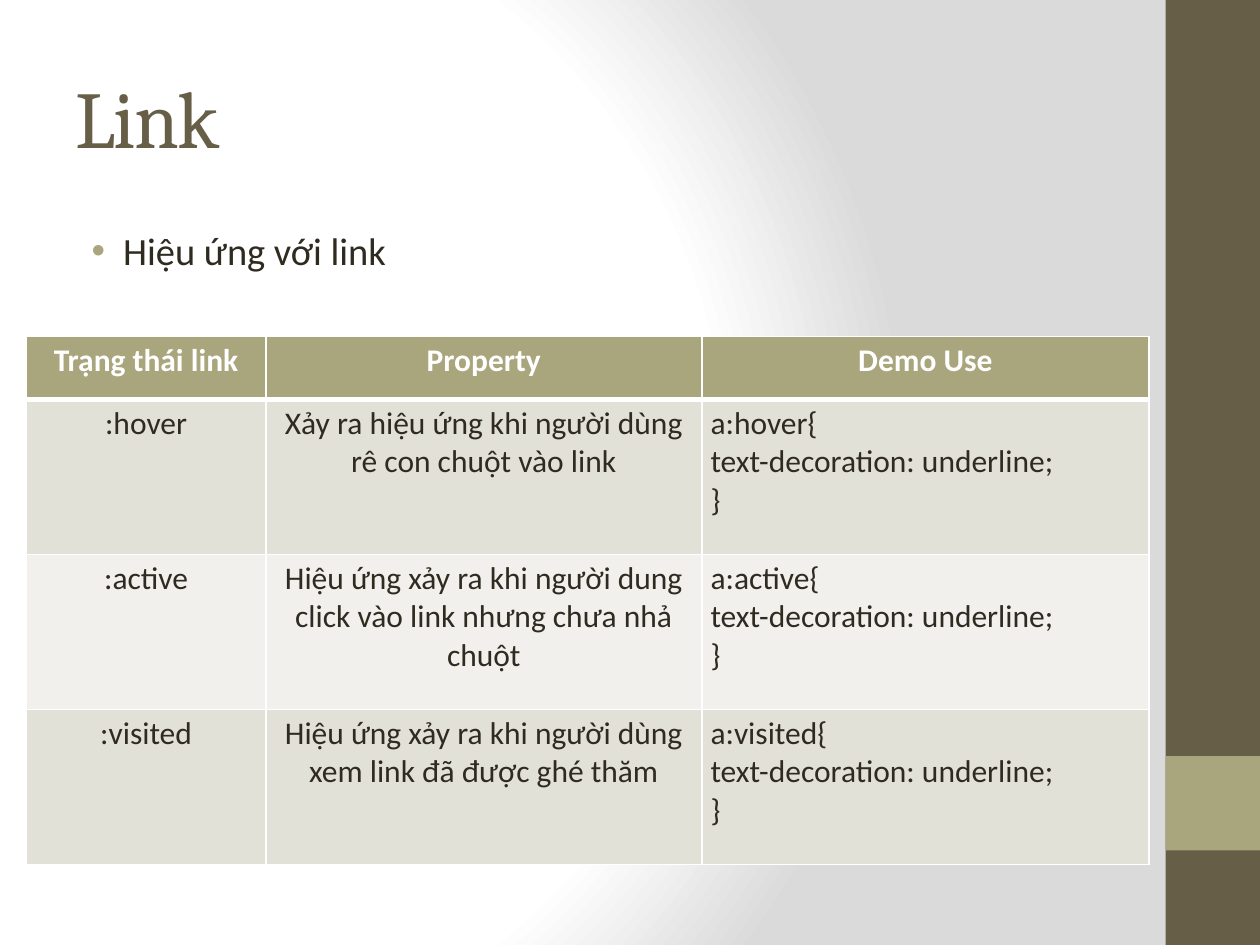
from lxml.etree import SubElement
from pptx import Presentation
from pptx.dml.color import RGBColor
from pptx.enum.shapes import MSO_SHAPE as Shape
from pptx.enum.text import MSO_ANCHOR as Anchor, PP_ALIGN as Align
from pptx.oxml import parse_xml
from pptx.oxml.ns import nsdecls, qn
from pptx.util import Inches, Pt

BROWN, OLIVE, INK, WHITE = "675E47", "A9A57C", "2F2B20", "FFFFFF"
BANDS = ("E2E1D7", "F1F0EC")
COLUMNS = (1.9, 3.46, 3.55)
ROW_HEIGHTS = (0.5, 1.23, 1.23, 1.23)
HEADINGS = ("Trạng thái link", "Property", "Demo Use")
STATES = (
    ("hover", "Xảy ra hiệu ứng khi người dùng rê con chuột vào link"),
    ("active", "Hiệu ứng xảy ra khi người dung click vào link nhưng chưa nhả chuột"),
    ("visited", "Hiệu ứng xảy ra khi người dùng xem link đã được ghé thăm"),
)


def color(value):
    return RGBColor.from_string(value)


def add_span(para, text, size, ink, font="Calibri", bold=False):
    span = para.add_run()
    span.text = text
    span.font.size = Pt(size)
    span.font.name = font
    span.font.bold = bold
    span.font.color.rgb = color(ink)
    return span


def add_text_box(page, left, top, width, height, anchor):
    box = page.shapes.add_textbox(Inches(left), Inches(top), Inches(width), Inches(height))
    frame = box.text_frame
    frame.word_wrap = True
    frame.vertical_anchor = anchor
    return frame.paragraphs[0]


def paint_background(page):
    stops = "".join(
        f'<a:gs pos="{place * 1000}"><a:srgbClr val="{value}"/></a:gs>'
        for place, value in ((0, WHITE), (75, WHITE), (100, "DADADA")))
    background = parse_xml(
        f'<p:bg {nsdecls("p", "a")}><p:bgPr><a:gradFill rotWithShape="1">'
        f'<a:gsLst>{stops}</a:gsLst><a:path path="circle">'
        '<a:fillToRect l="20000" t="50000" r="100000" b="50000"/></a:path>'
        '</a:gradFill><a:effectLst/></p:bgPr></p:bg>')
    page.element.find(qn("p:cSld")).insert(0, background)


def add_sidebar(page, left, top, width, height):
    # Full-height strip with a square accent
    for offset, size, fill in ((0, height, BROWN), (6, width, OLIVE)):
        strip = page.shapes.add_shape(Shape.RECTANGLE, Inches(left), Inches(top + offset),
                                      Inches(width), Inches(size))
        strip.shadow.inherit = False
        strip.fill.solid()
        strip.fill.fore_color.rgb = color(fill)
        strip.line.fill.background()


def add_title(page, left, top, width, height):
    para = add_text_box(page, left, top, width, height, Anchor.MIDDLE)
    span = add_span(para, "Link", 46, BROWN, "Cambria")
    span.font._element.set("spc", "-100")


def add_bullet(page, left, top, width, height):
    para = add_text_box(page, left, top, width, height, Anchor.TOP)
    para.space_before = Pt(4.4)
    props = para._p.get_or_add_pPr()
    props.set("marL", str(Inches(0.38)))
    props.set("indent", str(Inches(-0.25)))
    SubElement(SubElement(props, qn("a:buClr")), qn("a:srgbClr"), val=OLIVE)
    SubElement(props, qn("a:buFont"), typeface="Arial")
    SubElement(props, qn("a:buChar"), char="•")
    add_span(para, "Hiệu ứng với link", 22, INK)


def set_borders(cell, top, bottom):
    props = cell._tc.get_or_add_tcPr()
    sides = (("L", 1), ("R", 1), ("T", top), ("B", bottom))
    for index, (side, points) in enumerate(sides):
        props.insert(index, parse_xml(
            f'<a:ln{side} {nsdecls("a")} w="{Pt(points)}"><a:solidFill>'
            f'<a:srgbClr val="{WHITE}"/></a:solidFill></a:ln{side}>'))


def fill_cell(cell, lines, row, align):
    header = row == 0
    cell.margin_left = cell.margin_right = Inches(0.07)
    cell.margin_top = cell.margin_bottom = Inches(0.04)
    cell.fill.solid()
    cell.fill.fore_color.rgb = color(OLIVE if header else BANDS[(row - 1) % 2])
    set_borders(cell, 3 if row == 1 else 1, 3 if header else 1)
    frame = cell.text_frame
    for index, line in enumerate(lines):
        para = frame.add_paragraph() if index else frame.paragraphs[0]
        para.alignment = align
        add_span(para, line, 18, WHITE if header else INK, bold=header)


def add_state_table(page, left, top):
    rows = [[[heading] for heading in HEADINGS]]
    for state, effect in STATES:
        rows.append([[f":{state}"], [effect],
                     [f"a:{state}{{", "text-decoration: underline;", "}"]])
    table = page.shapes.add_table(len(rows), len(COLUMNS), Inches(left), Inches(top),
                                  Inches(sum(COLUMNS)), Inches(sum(ROW_HEIGHTS))).table
    for column, width in zip(table.columns, COLUMNS):
        column.width = Inches(width)
    for row, height in enumerate(ROW_HEIGHTS):
        table.rows[row].height = Inches(height)
        for column, lines in enumerate(rows[row]):
            code = row > 0 and column == 2
            fill_cell(table.cell(row, column), lines, row, Align.LEFT if code else Align.CENTER)


def main():
    deck = Presentation()
    deck.slide_width, deck.slide_height = Inches(10), Inches(7.5)
    page = deck.slides.add_slide(deck.slide_layouts[6])
    paint_background(page)
    add_sidebar(page, 9.25, 0, 0.75, 7.5)
    add_title(page, 0.5, 0.3, 8.33, 1.25)
    add_bullet(page, 0.5, 1.75, 8.33, 5.25)
    add_state_table(page, 0.21, 2.67)
    deck.save("out.pptx")


if __name__ == "__main__":
    main()
